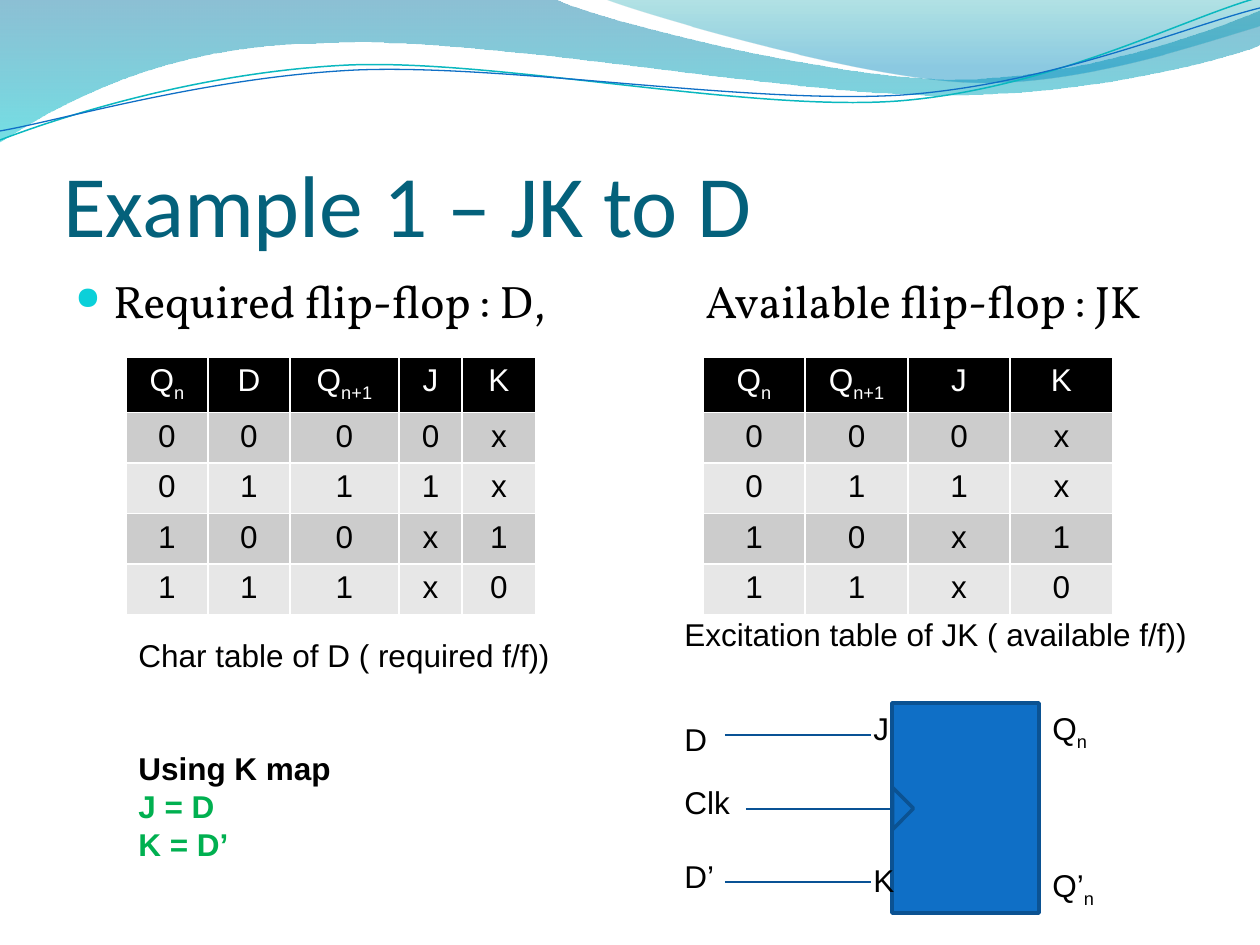
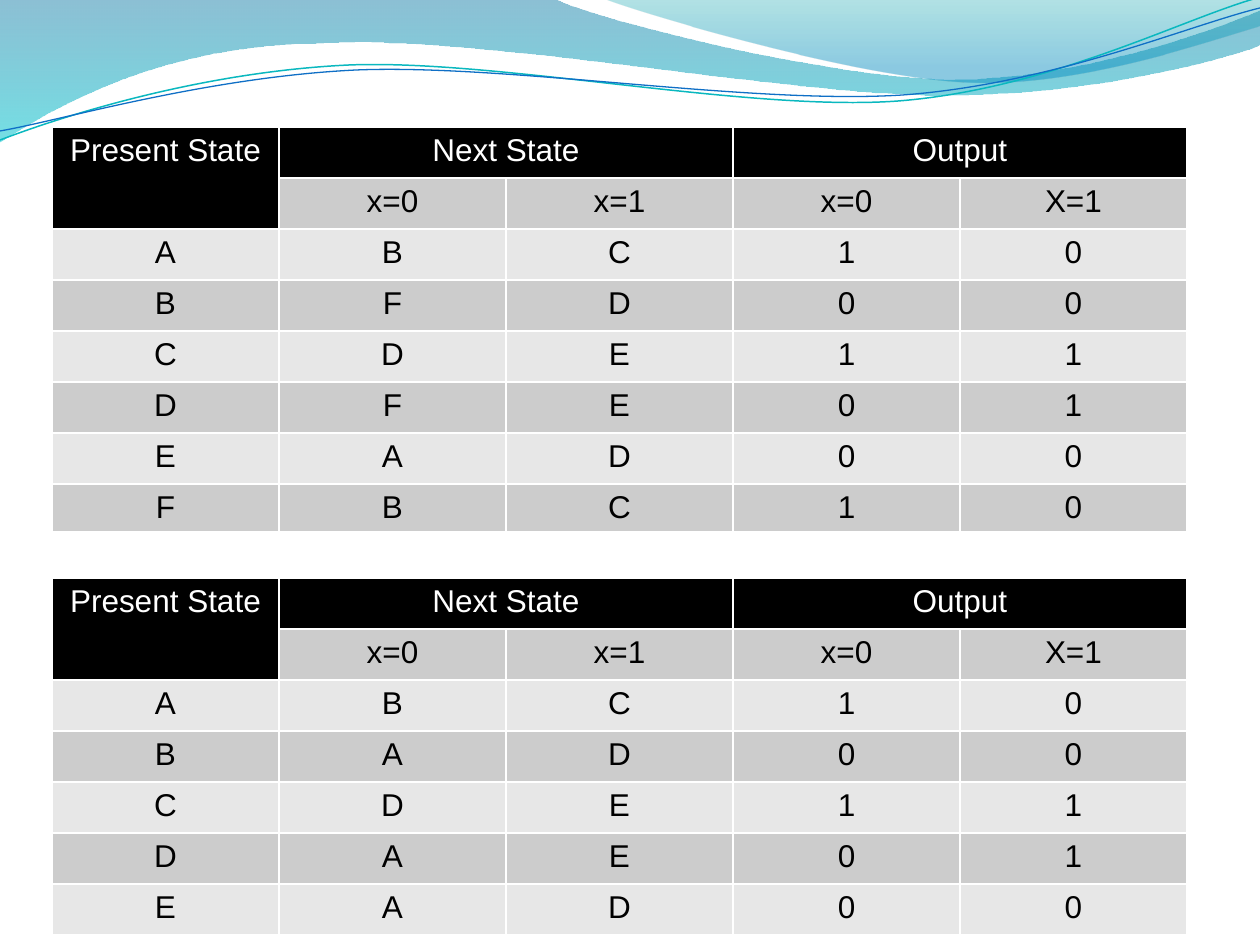
from lxml.etree import SubElement
from pptx import Presentation
from pptx.dml.color import RGBColor
from pptx.enum.shapes import MSO_CONNECTOR, MSO_SHAPE
from pptx.enum.text import MSO_ANCHOR, MSO_AUTO_SIZE, PP_ALIGN
from pptx.oxml.ns import qn
from pptx.util import Emu, Pt

PX_PER_INCH = 126
BLACK = RGBColor(0x00, 0x00, 0x00)
WHITE = RGBColor(0xFF, 0xFF, 0xFF)
BAND_DARK = RGBColor(0xCC, 0xCC, 0xCC)
BAND_LIGHT = RGBColor(0xE7, 0xE7, 0xE7)
TITLE_TEAL = RGBColor(0x04, 0x61, 0x7B)
ANSWER_GREEN = RGBColor(0x00, 0xB0, 0x50)
BLUE = RGBColor(0x0F, 0x6F, 0xC6)
BLUE_EDGE = RGBColor(0x0B, 0x52, 0x92)
WIRE_BLUE = RGBColor(0x09, 0x52, 0x95)
WAVE_TEAL = RGBColor(0x0A, 0xB8, 0xBF)
BULLET_AQUA = RGBColor(0x0B, 0xD0, 0xD9)


def px(length):
    return Emu(round(length * 914400 / PX_PER_INCH))


def write(frame, text, size=18, font="Arial", color=BLACK, bold=False,
          align=PP_ALIGN.LEFT, before=None):
    """Add one paragraph; what follows an underscore becomes a subscript."""
    paragraph = frame.add_paragraph() if frame.text else frame.paragraphs[0]
    paragraph.alignment = align
    if before is not None:
        paragraph.space_before = Pt(before)
    for position, part in enumerate(text.split("_")):
        run = paragraph.add_run()
        run.text = part
        run.font.size = Pt(size)
        run.font.name = font
        run.font.bold = bold
        run.font.color.rgb = color
        if position:
            run.font._element.set("baseline", "-25000")
    return paragraph


prs = Presentation()
prs.slide_width, prs.slide_height = px(1260), px(945)
conversion = prs.slides.add_slide(prs.slide_layouts[5])
reduction = prs.slides.add_slide(prs.slide_layouts[6])

# Waves on the master: pairs are straight steps, sixes are Bézier curves.
# A gradient is a list of (position, colour, opacity in percent).
waves = [
    ([(0, -1), (554, -1), (600, 21, 837, 79, 955, 79),
      (1075, 79, 1207, 33, 1260, 11), (1261, 45),
      (1239, 55, 1096, 96, 940, 95), (784, 95, 481, 35, 324, 43),
      (163, 44, 58, 105, -1, 142)],
     [(0, RGBColor(0x00, 0x74, 0xA1), 45),
      (1, RGBColor(0x00, 0xC6, 0xCF), 55)], None),
    ([(604, -1), (641, 14, 859, 78, 969, 82),
      (1079, 87, 1211, 40, 1260, 26), (1260, 0)],
     [(0, RGBColor(0x00, 0xA1, 0xA9), 30),
      (0.8, RGBColor(0x00, 0x8B, 0xBF), 45)], None),
    ([(0, 140), (60, 117, 199, 72, 349, 65), (498, 59, 747, 112, 898, 101),
      (1050, 89, 1182, 19, 1257, -2)], None, (WAVE_TEAL, 0.85)),
    ([(0, 131), (59, 121, 207, 77, 357, 70), (508, 64, 752, 105, 903, 95),
      (1053, 84, 1187, 26, 1260, 8)], None, (BLUE, 0.75)),
]
for order, (steps, gradient, stroke) in enumerate(waves):
    anchors = [(px(step[-2]), px(step[-1])) for step in steps]
    builder = conversion.shapes.build_freeform(*anchors[0])
    builder.add_line_segments(anchors[1:], close=gradient is not None)
    wave = builder.convert_to_shape()
    for segment, step in zip(list(wave.element.iter(qn("a:lnTo"))), steps[1:]):
        if len(step) == 6:
            segment.tag = qn("a:cubicBezTo")
            segment.remove(segment[0])
            for x, y in zip(step[::2], step[1::2]):
                SubElement(segment, qn("a:pt"), x=str(px(x) - wave.left),
                           y=str(px(y) - wave.top))
    wave.shadow.inherit = False
    if gradient:
        wave.fill.gradient()
        wave.fill.gradient_angle = 270
        for stop, (position, color, _) in zip(wave.fill.gradient_stops, gradient):
            stop.position = position
            stop.color.rgb = color
        for color, (_, _, opacity) in zip(wave.element.iter(qn("a:srgbClr")), gradient):
            SubElement(color, qn("a:alpha"), val=str(opacity * 1000))
        wave.line.fill.background()
    else:
        wave.fill.background()
        wave.line.color.rgb, wave.line.width = stroke[0], Pt(stroke[1])
    wave.element.nvSpPr.cNvPr.set("id", str(20 + order))
    prs.slide_master.shapes.element.insert(2 + order, wave.element)

# Title
title = conversion.shapes.title
title.left, title.top, title.width, title.height = px(63), px(98), px(1134), px(157)
heading = title.text_frame
heading.auto_size = MSO_AUTO_SIZE.NONE
heading.vertical_anchor = MSO_ANCHOR.BOTTOM
heading.margin_left = heading.margin_right = heading.margin_bottom = 0
write(heading, "Example 1 – JK to D", size=50, font="Calibri", color=TITLE_TEAL)

# Required and available flip-flops on one bulleted line
statement = conversion.shapes.add_textbox(px(63), px(267), px(1134), px(605)).text_frame
statement.word_wrap = True
bulleted = write(statement, "Required flip-flop : D,\tAvailable flip-flop : JK",
                 size=26, font="Vollkorn")
props = bulleted._p.get_or_add_pPr()
props.set("marL", str(px(38)))
props.set("indent", str(px(-38)))
SubElement(SubElement(props, qn("a:buClr")), qn("a:srgbClr"), val=str(BULLET_AQUA))
SubElement(props, qn("a:buSzPct"), val="70000")
SubElement(props, qn("a:buChar"), char="●")
SubElement(SubElement(props, qn("a:tabLst")), qn("a:tab"), pos=str(px(630)), algn="l")

# Tables: slide, left, top, column widths, row heights, rows, merged ranges
state_head = [["Present State", "Next State", "", "Output", ""],
              ["", "x=0", "x=1", "x=0", "X=1"]]
state_merges = [(0, 0, 1, 0), (0, 1, 0, 2), (0, 3, 0, 4)]
tables = [
    (conversion, 126, 357, [82, 82, 109, 63, 74], [52] + [48] * 4,
     [["Q_n", "D", "Q_n+1", "J", "K"], "0000x", "0111x", "100x1", "111x0"], []),
    (conversion, 703, 357, [102, 103, 102, 103], [52] + [48] * 4,
     [["Q_n", "Q_n+1", "J", "K"], "000x", "011x", "10x1", "11x0"], []),
    (reduction, 52, 127, [227] * 5, [51] * 7 + [48],
     state_head + ["ABC10", "BFD00", "CDE11", "DFE01", "EAD00", "FBC10"],
     state_merges),
    (reduction, 52, 578, [227] * 5, [51] * 7,
     state_head + ["ABC10", "BAD00", "CDE11", "DAE01", "EAD00"], state_merges),
]
for slide, left, top, widths, heights, rows, merges in tables:
    table = slide.shapes.add_table(len(rows), len(widths), px(left), px(top),
                                   px(sum(widths)), px(sum(heights))).table
    for column, width in zip(table.columns, widths):
        column.width = px(width)
    for row, height in zip(table.rows, heights):
        row.height = px(height)
    for r, values in enumerate(rows):
        for c, value in enumerate(values):
            cell = table.cell(r, c)
            for side in ("a:lnL", "a:lnR", "a:lnT", "a:lnB"):
                border = SubElement(cell._tc.get_or_add_tcPr(), qn(side), w=str(Pt(1)))
                SubElement(SubElement(border, qn("a:solidFill")), qn("a:srgbClr"),
                           val=str(WHITE))
            cell.fill.solid()
            cell.fill.fore_color.rgb = (
                BLACK if r == 0 else BAND_DARK if r % 2 else BAND_LIGHT)
            if value:
                write(cell.text_frame, value, align=PP_ALIGN.CENTER,
                      color=WHITE if r == 0 else BLACK)
    for r1, c1, r2, c2 in merges:
        table.cell(r1, c1).merge(table.cell(r2, c2))

# Flip-flop block, captions, pin labels and wires, with the clock mark on top
blocks = [(MSO_SHAPE.RECTANGLE, 892, 703, 147, 210, 0),
          (MSO_SHAPE.ISOSCELES_TRIANGLE, 882, 798, 42, 21, 90)]
for preset, left, top, width, height, turn in blocks:
    block = conversion.shapes.add_shape(preset, px(left), px(top), px(width), px(height))
    block.rotation = turn
    block.shadow.inherit = False
    block.fill.solid()
    block.fill.fore_color.rgb = BLUE
    block.line.color.rgb, block.line.width = BLUE_EDGE, Pt(2)

for start, y in [(725, 735), (746, 809), (725, 882)]:
    wire = conversion.shapes.add_connector(
        MSO_CONNECTOR.STRAIGHT, px(start), px(y), px(start + 146), px(y))
    wire.line.color.rgb, wire.line.width = WIRE_BLUE, Pt(0.75)
    SubElement(wire.element.spPr, qn("a:effectLst"))

# Each label: box, then its lines with their format
green = {"bold": True, "color": ANSWER_GREEN}
labels = [
    (126, 630, 441, 242, [("Char table of D ( required f/f))", {}),
                          ("Using K map", {"bold": True, "before": 43}),
                          ("J = D", green), ("K = D’", green)]),
    (672, 609, 533, 50, [("Excitation table of JK ( available f/f))", {})]),
    (861, 703, 47, 204, [("J", {}), ("K", {"before": 65})]),
    (1040, 703, 69, 204, [("Q_n", {}), ("Q’_n", {"before": 65})]),
    (672, 714, 48, 50, [("D", {})]),
    (672, 777, 72, 50, [("Clk", {})]),
    (672, 851, 55, 50, [("D’", {})]),
]
for left, top, width, height, lines in labels:
    label = conversion.shapes.add_textbox(
        px(left), px(top), px(width), px(height)).text_frame
    label.word_wrap = False
    label.auto_size = MSO_AUTO_SIZE.SHAPE_TO_FIT_TEXT
    for text, style in lines:
        write(label, text, **style)

prs.save("out.pptx")
